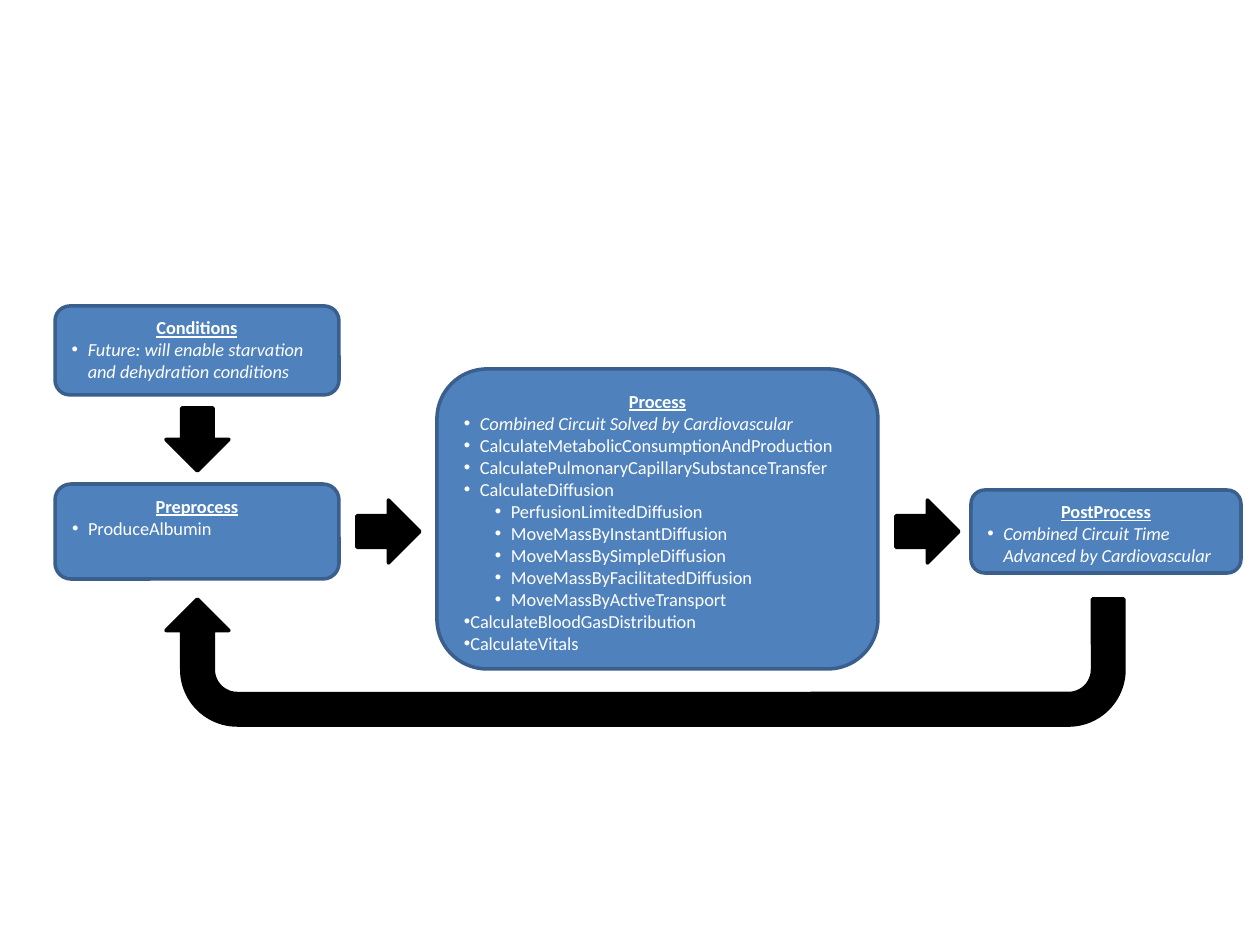
from pptx import Presentation
from pptx.dml.color import RGBColor
from pptx.enum.shapes import MSO_SHAPE
from pptx.enum.text import MSO_ANCHOR, PP_ALIGN
from pptx.oxml.ns import qn
from pptx.util import Emu, Pt
from lxml import etree

ROUNDED = MSO_SHAPE.ROUNDED_RECTANGLE
DOWN_ARROW = MSO_SHAPE.DOWN_ARROW
U_TURN = MSO_SHAPE.U_TURN_ARROW
TOP = MSO_ANCHOR.TOP
LEFT, CENTER = PP_ALIGN.LEFT, PP_ALIGN.CENTER

SCALE = 914400 // 126
COLORS = {"box": "4F81BD", "edge": "3A5F8C", "arrow": "000000", "text": "FFFFFF"}

# Bullet styles: level, left margin, first-line indent, italic
ITEM = (0, 16, -16, False)
NOTE = (0, 16, -16, True)
SUBITEM = (1, 47, -16, False)
FLUSH = (0, 0, -32, False)


def px(length):
    return Emu(length * SCALE)


class FlowSlide:
    font = "Calibri"
    size = Pt(10.5)
    line_width = Pt(2)

    def __init__(self, deck):
        self.page = deck.slides.add_slide(deck.slide_layouts[6])

    def shape(self, kind, place, fill, line):
        shape = self.page.shapes.add_shape(kind, *map(px, place))
        shape.shadow.inherit = False
        shape.fill.solid()
        shape.fill.fore_color.rgb = RGBColor.from_string(COLORS[fill])
        shape.line.color.rgb = RGBColor.from_string(COLORS[line])
        shape.line.width = self.line_width
        return shape

    def arrow(self, kind, place, rotation=0, adjustments=()):
        arrow = self.shape(kind, place, "arrow", "arrow")
        arrow.rotation = rotation
        for index, value in enumerate(adjustments):
            arrow.adjustments[index] = value

    def style(self, para, align):
        para.alignment = align
        para.font.name = self.font
        para.font.size = self.size
        para.font.color.rgb = RGBColor.from_string(COLORS["text"])

    def bullet(self, frame, text, level, margin, indent, italic):
        para = frame.add_paragraph()
        para.text = text
        para.level = level
        self.style(para, LEFT)
        para.font.italic = italic
        properties = para._p.get_or_add_pPr()
        properties.set("marL", str(px(margin)))
        properties.set("indent", str(px(indent)))
        font = etree.Element(qn("a:buFont"), typeface="Arial")
        mark = etree.Element(qn("a:buChar"), char="•")
        properties.insert(0, font)
        properties.insert(1, mark)

    def step(self, place, heading, items):
        box = self.shape(ROUNDED, place, "box", "edge")
        frame = box.text_frame
        frame.word_wrap = True
        frame.vertical_anchor = TOP
        title = frame.paragraphs[0]
        title.text = heading
        self.style(title, CENTER)
        title.font.bold = True
        title.font.underline = True
        for text, kind in items:
            self.bullet(frame, text, *kind)


deck = Presentation()
deck.slide_width, deck.slide_height = px(1260), px(945)
flow = FlowSlide(deck)

# Steps
flow.step((55, 484, 284, 95), "Preprocess", [("ProduceAlbumin", ITEM)])
flow.step((437, 369, 441, 300), "Process", [
    ("Combined Circuit Solved by Cardiovascular", NOTE),
    ("CalculateMetabolicConsumptionAndProduction", ITEM),
    ("CalculatePulmonaryCapillarySubstanceTransfer", ITEM),
    ("CalculateDiffusion", ITEM),
    ("PerfusionLimitedDiffusion", SUBITEM),
    ("MoveMassByInstantDiffusion", SUBITEM),
    ("MoveMassBySimpleDiffusion", SUBITEM),
    ("MoveMassByFacilitatedDiffusion", SUBITEM),
    ("MoveMassByActiveTransport", SUBITEM),
    ("CalculateBloodGasDistribution", FLUSH),
    ("CalculateVitals", FLUSH),
])
flow.step((55, 306, 284, 89), "Conditions",
          [("Future: will enable starvation and dehydration conditions", NOTE)])
flow.step((971, 490, 270, 83), "PostProcess",
          [("Combined Circuit Time Advanced by Cardiovascular", NOTE)])

# Arrows between steps, then the return loop
for left, top, rotation in [(166, 408, 0), (357, 500, 270), (896, 500, 270)]:
    flow.arrow(DOWN_ARROW, (left, top, 63, 63), rotation)
flow.arrow(U_TURN, (166, 599, 958, 126), 180, (0.25, 0.25, 0.25, 0.44, 1))

deck.save("out.pptx")
